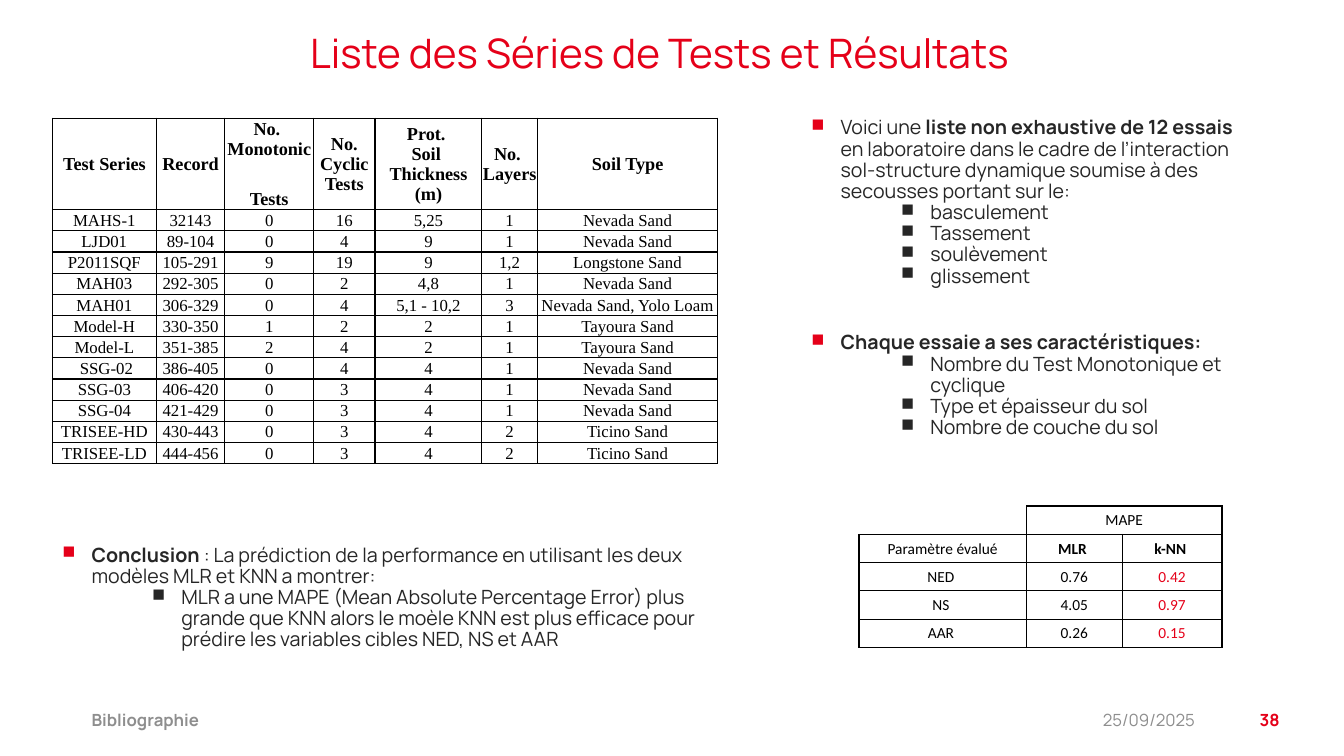
from lxml import etree
from pptx import Presentation
from pptx.dml.color import RGBColor
from pptx.enum.text import MSO_ANCHOR, MSO_AUTO_SIZE, PP_ALIGN
from pptx.oxml.ns import qn
from pptx.util import Inches, Pt

LEFT, CENTER, RIGHT = PP_ALIGN.LEFT, PP_ALIGN.CENTER, PP_ALIGN.RIGHT
TOP, MIDDLE = MSO_ANCHOR.TOP, MSO_ANCHOR.MIDDLE
TITLE_ONLY = 5
RED, GREY, DARK, BLACK = "E50019", "8E8E8E", "262626", "000000"
SANS, SERIF, TABLE_SANS = "Manrope", "Times New Roman", "Calibri"

TEST_COLUMNS = [1.03, 0.68, 0.88, 0.61, 1.06, 0.55, 1.79]
TEST_ROWS = [
    ["Test Series", "Record", "No. \nMonotonic \nTests", "No.\n Cyclic \nTests",
     "Prot. \nSoil \nThickness (m)", "No. \nLayers", "Soil Type"],
    ["MAHS-1", "32143", "0", "16", "5,25", "1", "Nevada Sand"],
    ["LJD01", "89-104", "0", "4", "9", "1", "Nevada Sand"],
    ["P2011SQF", "105-291", "9", "19", "9", "1,2", "Longstone Sand"],
    ["MAH03", "292-305", "0", "2", "4,8", "1", "Nevada Sand"],
    ["MAH01", "306-329", "0", "4", "5,1 - 10,2", "3", "Nevada Sand, Yolo Loam"],
    ["Model-H", "330-350", "1", "2", "2", "1", "Tayoura Sand"],
    ["Model-L", "351-385", "2", "4", "2", "1", "Tayoura Sand"],
    [" SSG-02", "386-405", "0", "4", "4", "1", "Nevada Sand"],
    ["SSG-03", "406-420", "0", "3", "4", "1", "Nevada Sand"],
    ["SSG-04", "421-429", "0", "3", "4", "1", "Nevada Sand"],
    ["TRISEE-HD", "430-443", "0", "3", "4", "2", "Ticino Sand"],
    ["TRISEE-LD", "444-456", "0", "3", "4", "2", "Ticino Sand"],
]
ERROR_COLUMNS = [1.66, 0.95, 0.99]
ERROR_ROWS = [
    ["", "MAPE", ""],
    ["Paramètre évalué", "MLR ", "k-NN "],
    ["NED ", "0.76", "0.42"],
    ["NS ", "4.05", "0.97"],
    ["AAR ", "0.26", "0.15"],
]

# Each paragraph: level, space before in points, runs of (text, bold)
TEST_NOTES = [
    (1, 0, [("Voici une", False), (" liste non exhaustive de 12 essais ", True),
            ("en laboratoire dans le cadre de l’interaction sol-structure "
             "dynamique soumise à des secousses portant sur le:", False)]),
    (4, 0, [("basculement", False)]),
    (4, 0, [("Tassement", False)]),
    (4, 0, [("soulèvement", False)]),
    (4, 0, [("glissement", False)]),
    (1, 32.5, [("Chaque essaie a ses caractéristiques:", True)]),
    (4, 0, [("Nombre du Test Monotonique et cyclique", False)]),
    (4, 0, [("Type et épaisseur du sol", False)]),
    (4, 0, [("Nombre de couche du sol", False)]),
]
CONCLUSION = [
    (1, 0, [("Conclusion", True),
            (" : La prédiction de la performance en utilisant les deux "
             "modèles MLR et KNN a montrer:", False)]),
    (4, 0, [("MLR a une MAPE (Mean Absolute Percentage Error) plus grande que "
             "KNN alors le moèle KNN est plus efficace pour prédire les "
             "variables cibles NED, NS et AAR", False)]),
]


def rgb(value):
    return RGBColor.from_string(value)


def add_span(para, text, font, size, color, bold=False):
    for number, line in enumerate(text.split("\n")):
        if number:
            para.add_line_break()
        span = para.add_run()
        span.text = line
        span.font.name = font
        span.font.size = Pt(size)
        span.font.bold = bold
        span.font.color.rgb = rgb(color)


def add_bullet(para, level):
    """Square bullet with a hanging indent; red on the first level."""
    props = para._p.get_or_add_pPr()
    props.set("marL", str(Inches(0.29 if level == 1 else 1.18)))
    props.set("indent", str(-Inches(0.29)))
    bullet_color = etree.SubElement(props, qn("a:buClr"))
    etree.SubElement(bullet_color, qn("a:srgbClr"), val=RED if level == 1 else DARK)
    etree.SubElement(props, qn("a:buSzPct"), val="90000")
    etree.SubElement(props, qn("a:buChar"), char="■")


def set_border(cell, side, width):
    """Side is L, R, T or B; a width of 0 means no line."""
    line = etree.SubElement(cell._tc.get_or_add_tcPr(), qn("a:ln" + side),
                            w=str(Pt(width)))
    if width:
        fill = etree.SubElement(line, qn("a:solidFill"))
        etree.SubElement(fill, qn("a:srgbClr"), val=BLACK)
    else:
        etree.SubElement(line, qn("a:noFill"))


def add_title(page, box, text):
    title = page.shapes.title
    title.left, title.top, title.width, title.height = map(Inches, box)
    frame = title.text_frame
    frame.auto_size = MSO_AUTO_SIZE.NONE
    frame.word_wrap = True
    frame.vertical_anchor = TOP
    frame.margin_left = frame.margin_right = 0
    frame.margin_top = frame.margin_bottom = Inches(0.05)
    para = frame.paragraphs[0]
    para.alignment = CENTER
    para.line_spacing = 0.9
    add_span(para, text, SANS, 29, RED)


def add_bullet_list(page, box, items):
    frame = page.shapes.add_textbox(*map(Inches, box)).text_frame
    frame.word_wrap = True
    frame.auto_size = MSO_AUTO_SIZE.SHAPE_TO_FIT_TEXT
    for number, (level, gap, spans) in enumerate(items):
        para = frame.add_paragraph() if number else frame.paragraphs[0]
        para.level = level
        para.line_spacing = 0.9
        if gap:
            para.space_before = Pt(gap)
        add_bullet(para, level)
        for text, bold in spans:
            add_span(para, text, SANS, 14, DARK, bold)


def add_grid(page, box, columns, heights, rows, style, border, merge=None):
    """style(row, col) gives font, size, colour, bold; border(row, col) widths."""
    frame = page.shapes.add_table(len(rows), len(columns), *map(Inches, box))
    table = frame.table
    table.first_row = table.horz_banding = False
    for column, width in zip(table.columns, columns):
        column.width = Inches(width)
    for row, height in zip(table.rows, heights):
        row.height = Inches(height)
    if merge:
        table.cell(*merge[0]).merge(table.cell(*merge[1]))
    for r, texts in enumerate(rows):
        for c, text in enumerate(texts):
            cell = table.cell(r, c)
            cell.margin_left = cell.margin_right = cell.margin_top = Inches(0.01)
            cell.margin_bottom = 0
            cell.vertical_anchor = MIDDLE
            for side, width in zip("LRTB", border(r, c)):
                set_border(cell, side, width)
            cell.fill.background()
            para = cell.text_frame.paragraphs[0]
            para.alignment = CENTER
            font, size, color, bold = style(r, c)
            if text:
                add_span(para, text, font, size, color, bold)
            else:
                etree.SubElement(para._p, qn("a:endParaRPr"), sz=str(size * 100))


def add_test_table(page, box):
    add_grid(page, box, TEST_COLUMNS, [0.87] + [0.21] * 12, TEST_ROWS,
             lambda r, c: (SERIF, 12 if r else 13, BLACK, r == 0),
             lambda r, c: (1, 1, 1 if r else 0.5, 1))


def add_error_table(page, box):
    last_row, last_col = len(ERROR_ROWS) - 1, len(ERROR_COLUMNS) - 1

    def style(r, c):
        return TABLE_SANS, 11, RED if r > 1 and c == last_col else BLACK, r == 1 and c > 0

    def border(r, c):
        if r == c == 0:
            return 0, 0.5, 0, 0.5
        at_right = c == last_col or r == 0
        return (0.5 if c else 1, 1 if at_right else 0.5,
                0.5 if r else 1, 1 if r == last_row else 0.5)

    add_grid(page, box, ERROR_COLUMNS, [0.28] * 5, ERROR_ROWS, style, border,
             merge=((0, 1), (0, 2)))


def add_footer(page, top, height):
    parts = [
        (0.81, 9.67, "Bibliographie", LEFT, GREY, True),
        (10.53, 1.42, "25/09/2025", RIGHT, GREY, False),
        (12.03, 0.76, "38", RIGHT, RED, True),
    ]
    for left, width, text, align, color, bold in parts:
        frame = page.shapes.add_textbox(
            *map(Inches, (left, top, width, height))).text_frame
        frame.word_wrap = True
        frame.vertical_anchor = MIDDLE
        frame.paragraphs[0].alignment = align
        add_span(frame.paragraphs[0], text, SANS, 12, color, bold)


def main():
    deck = Presentation()
    deck.slide_width, deck.slide_height = Inches(13.33), Inches(7.5)
    page = deck.slides.add_slide(deck.slide_layouts[TITLE_ONLY])
    add_title(page, (0.68, 0.28, 11.73, 0.62), "Liste des Séries de Tests et Résultats")
    # Left half: tests and conclusion
    add_test_table(page, (0.52, 1.17, 6.6, 3.39))
    add_bullet_list(page, (0.52, 5.36, 6.79, 1.39), CONCLUSION)
    # Right half: notes and prediction errors
    add_bullet_list(page, (7.95, 1.12, 4.53, 3.31), TEST_NOTES)
    add_error_table(page, (8.52, 5.02, 3.6, 1.4))
    add_footer(page, 6.94, 0.4)
    deck.save("out.pptx")


if __name__ == "__main__":
    main()
